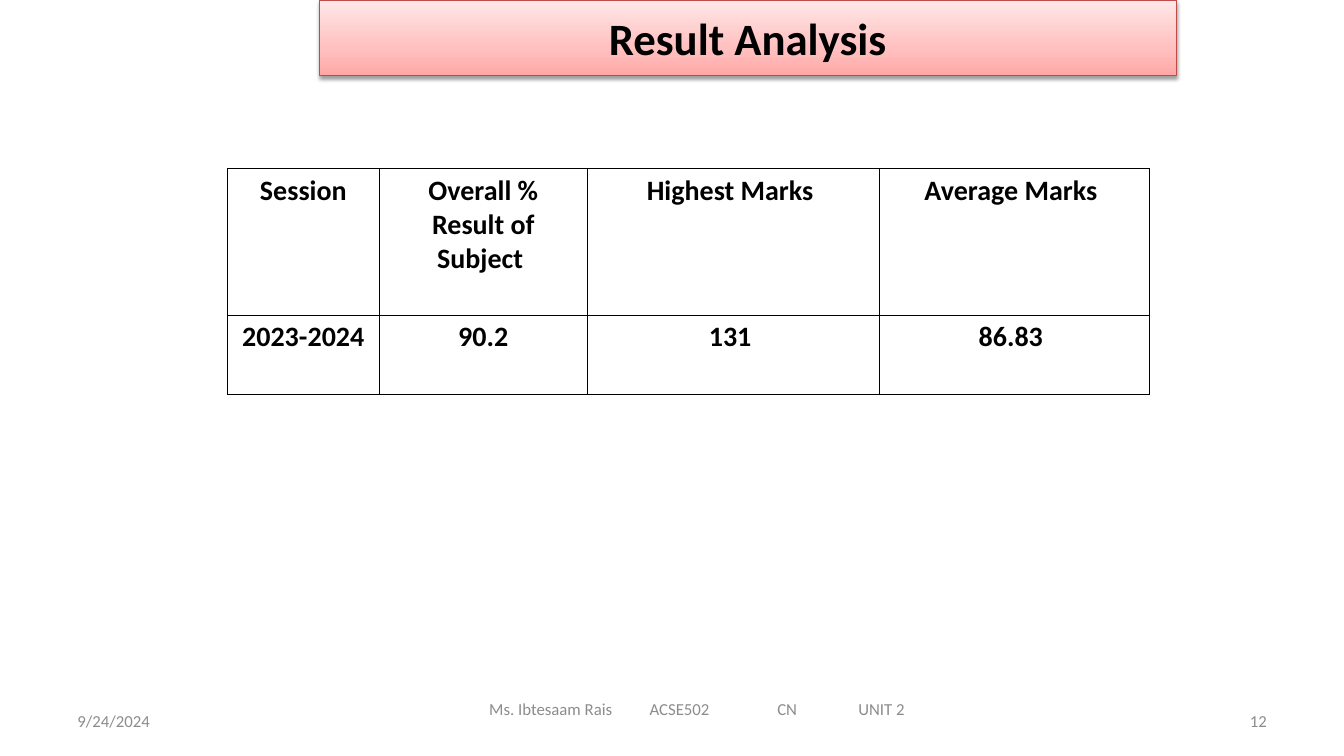
from dataclasses import dataclass

from pptx import Presentation
from pptx.dml.color import RGBColor
from pptx.enum.text import MSO_ANCHOR as Anchor, MSO_AUTO_SIZE as AutoSize, PP_ALIGN as Align
from pptx.oxml import parse_xml
from pptx.util import Cm, Pt

FONT = "Calibri"
BLACK = RGBColor(0x00, 0x00, 0x00)
GRAY = RGBColor(0x8C, 0x8C, 0x8C)
RED = RGBColor(0xBF, 0x4C, 0x48)
PINKS = ((0, RGBColor(0xFF, 0xA6, 0xA5)), (35, RGBColor(0xFF, 0xC0, 0xBF)),
         (100, RGBColor(0xFF, 0xE7, 0xE7)))
NS = 'xmlns:a="http://schemas.openxmlformats.org/drawingml/2006/main"'


@dataclass
class FooterItem:
    text: str
    left: float
    top: float
    width: float
    align: Align = Align.LEFT
    inset: float = 0.25
    tabs: tuple[float, ...] = ()


FOOTER = [
    FooterItem("9/24/2024", 1.7, 17.65, 7.9),
    FooterItem("12", 24.28, 17.65, 7.9, Align.RIGHT),
    FooterItem("Ms. Ibtesaam Rais\tACSE502\tCN\tUNIT 2", 10.6, 17.35, 13.97,
               inset=1.73, tabs=(4.04, 7.26, 9.3)),
]

COLUMNS = (3.81, 5.26, 7.34, 6.81)
ROW_HEIGHTS = (3.7, 2)
RESULTS = (
    ("Session", "Overall % Result of Subject ", "Highest Marks ", "Average Marks "),
    ("2023-2024", "90.2", "131 ", "86.83 "),
)


def style(p, size: float, color: RGBColor, align: Align, bold: bool = False) -> None:
    p.alignment = align
    p.font.name, p.font.size, p.font.bold = FONT, Pt(size), bold
    p.font.color.rgb = color


def add_title(s, text: str) -> None:
    title = s.shapes.title
    title.left, title.top, title.width, title.height = Cm(8.05), Cm(0), Cm(21.59), Cm(1.91)
    stops = "".join(f'<a:gs pos="{pos * 1000}"><a:srgbClr val="{color}"/></a:gs>'
                    for pos, color in PINKS)
    sp_pr = title.element.spPr
    sp_pr.append(parse_xml(f'<a:gradFill {NS} rotWithShape="1"><a:gsLst>{stops}</a:gsLst>'
                           '<a:lin ang="16200000" scaled="0"/></a:gradFill>'))
    title.line.color.rgb, title.line.width = RED, Pt(0.75)
    sp_pr.append(parse_xml(
        f'<a:effectLst {NS}><a:outerShdw blurRad="{Pt(3.1)}" dist="{Pt(1.6)}" dir="5400000" '
        f'rotWithShape="0"><a:srgbClr val="{BLACK}"><a:alpha val="38000"/></a:srgbClr>'
        '</a:outerShdw></a:effectLst>'))
    tf = title.text_frame
    tf.text = text
    tf.auto_size, tf.vertical_anchor = AutoSize.NONE, Anchor.MIDDLE
    style(tf.paragraphs[0], 32, BLACK, Align.CENTER, bold=True)


def add_footer(s, item: FooterItem) -> None:
    box = s.shapes.add_textbox(Cm(item.left), Cm(item.top), Cm(item.width), Cm(1.01))
    tf = box.text_frame
    tf.word_wrap, tf.vertical_anchor = True, Anchor.MIDDLE
    tf.margin_left = Cm(item.inset)
    tf.text = item.text
    p = tf.paragraphs[0]
    if item.tabs:
        stops = "".join(f'<a:tab pos="{Cm(pos)}" algn="l"/>' for pos in item.tabs)
        p._p.get_or_add_pPr().append(parse_xml(f"<a:tabLst {NS}>{stops}</a:tabLst>"))
    style(p, 12, GRAY, item.align)


def add_borders(cell) -> None:
    tc_pr = cell._tc.get_or_add_tcPr()
    for i, side in enumerate("LRTB"):
        tc_pr.insert(i, parse_xml(
            f'<a:ln{side} {NS} w="{Pt(0.5)}"><a:solidFill><a:srgbClr val="{BLACK}"/>'
            f'</a:solidFill></a:ln{side}>'))


def add_results(s) -> None:
    table = s.shapes.add_table(len(RESULTS), len(COLUMNS), Cm(5.74), Cm(4.24),
                               Cm(sum(COLUMNS)), Cm(sum(ROW_HEIGHTS))).table
    table.first_row = table.horz_banding = False
    for column, width in zip(table.columns, COLUMNS):
        column.width = Cm(width)
    for r, (row, height, texts) in enumerate(zip(table.rows, ROW_HEIGHTS, RESULTS)):
        row.height = Cm(height)
        for cell, text in zip(row.cells, texts):
            cell.text = text
            cell.margin_left = cell.margin_right = Cm(0.5 if r == 0 else 0.25)
            cell.fill.background()
            add_borders(cell)
            style(cell.text_frame.paragraphs[0], 20, BLACK, Align.CENTER, bold=True)


def main() -> None:
    prs = Presentation()
    prs.slide_width, prs.slide_height = Cm(33.87), Cm(19.05)
    s = prs.slides.add_slide(prs.slide_layouts[5])

    # Title banner
    add_title(s, "Result Analysis")

    # Result table
    add_results(s)

    # Date, slide number and course line
    for item in FOOTER:
        add_footer(s, item)

    prs.save("out.pptx")


if __name__ == "__main__":
    main()
